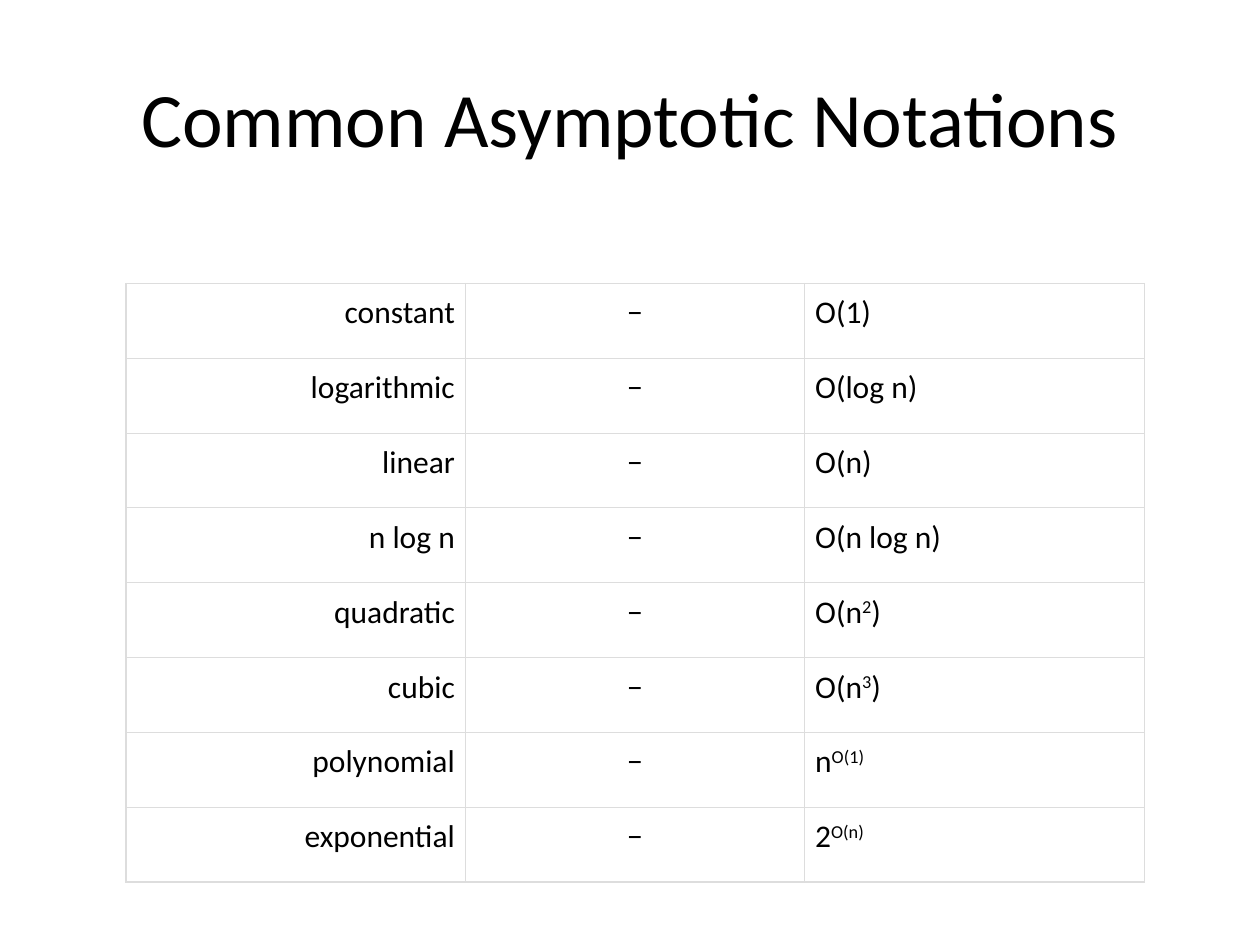
"""Build a slide that tabulates common asymptotic notations."""
from dataclasses import dataclass

from lxml import etree
from pptx import Presentation
from pptx import util as u
from pptx.dml.color import RGBColor
from pptx.enum import text
from pptx.oxml.ns import qn

BLACK = RGBColor(0x00, 0x00, 0x00)
BORDER = RGBColor(0xDD, 0xDD, 0xDD)
FONT = "Calibri"
COLUMN_WIDTH = u.Pt(193.92)
ROW_HEIGHT = u.Pt(42.75)
CELL_FORMAT = {
    f"margin_{side}": u.Pt(6) for side in ("left", "right", "top", "bottom")
}
TITLE_FORMAT = {
    "word_wrap": True,
    "vertical_anchor": text.MSO_ANCHOR.MIDDLE,
}
ALIGNMENTS = (text.PP_ALIGN.RIGHT, text.PP_ALIGN.CENTER, text.PP_ALIGN.LEFT)


@dataclass(frozen=True)
class Growth:
    name: str
    base: str
    power: str = ""
    tail: str = ""


GROWTHS = (
    Growth("constant", "Ο(1)"),
    Growth("logarithmic", "Ο(log n)"),
    Growth("linear", "Ο(n)"),
    Growth("n log n", "Ο(n log n)"),
    Growth("quadratic", "Ο(n", "2", ")"),
    Growth("cubic", "Ο(n", "3", ")"),
    Growth("polynomial", "n", "Ο(1)"),
    Growth("exponential", "2", "Ο(n)"),
)


def apply_format(target, values: dict) -> None:
    for name, value in values.items():
        setattr(target, name, value)


def add_span(para, words: str, size: float, raised: bool = False) -> None:
    span = para.add_run()
    span.text = words
    apply_format(span.font, {"name": FONT, "size": u.Pt(size)})
    span.font.color.rgb = BLACK
    if raised:
        span.font._element.set("baseline", "30000")


def add_borders(cell) -> None:
    properties = cell._tc.get_or_add_tcPr()
    for index, side in enumerate(("lnL", "lnR", "lnT", "lnB")):
        line = etree.Element(qn(f"a:{side}"), w=str(u.Pt(0.75)))
        fill = etree.SubElement(line, qn("a:solidFill"))
        etree.SubElement(fill, qn("a:srgbClr"), val=str(BORDER))
        properties.insert(index, line)


def add_title(page, words: str) -> None:
    box = page.shapes.add_textbox(u.Pt(36), u.Pt(21.6), u.Pt(648), u.Pt(90))
    apply_format(box.text_frame, TITLE_FORMAT)
    para = box.text_frame.paragraphs[0]
    para.alignment = text.PP_ALIGN.CENTER
    add_span(para, words, 44)


def fill_row(row, growth: Growth) -> None:
    row.height = ROW_HEIGHT
    contents = (
        (growth.name,),
        ("−",),
        (growth.base, growth.power, growth.tail),
    )
    for cell, parts, alignment in zip(row.cells, contents, ALIGNMENTS):
        apply_format(cell, CELL_FORMAT)
        cell.fill.background()
        add_borders(cell)
        para = cell.text_frame.paragraphs[0]
        para.alignment = alignment
        for index, part in enumerate(parts):
            if part:
                add_span(para, part, 18, raised=index == 1)


def add_growth_table(page) -> None:
    table = page.shapes.add_table(
        len(GROWTHS), len(ALIGNMENTS), u.Pt(72), u.Pt(162),
        COLUMN_WIDTH * len(ALIGNMENTS), ROW_HEIGHT * len(GROWTHS),
    ).table
    apply_format(table, {"first_row": False, "horz_banding": False})
    for column in table.columns:
        column.width = COLUMN_WIDTH
    for row, growth in zip(table.rows, GROWTHS):
        fill_row(row, growth)


def main() -> None:
    deck = Presentation()
    apply_format(deck, {"slide_width": u.Pt(720), "slide_height": u.Pt(540)})
    page = deck.slides.add_slide(deck.slide_layouts[6])
    add_title(page, "Common Asymptotic Notations")
    add_growth_table(page)
    deck.save("out.pptx")


if __name__ == "__main__":
    main()
